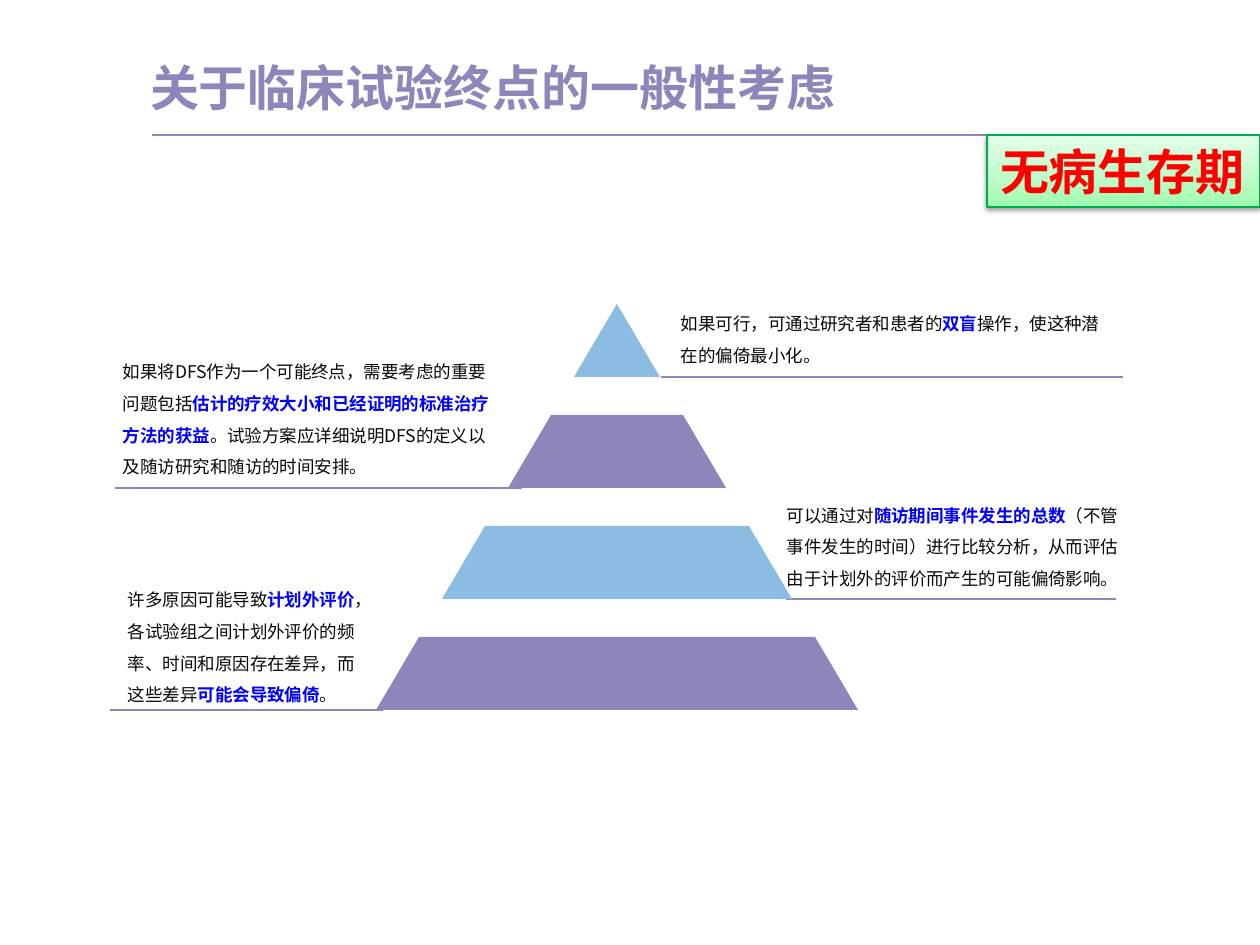
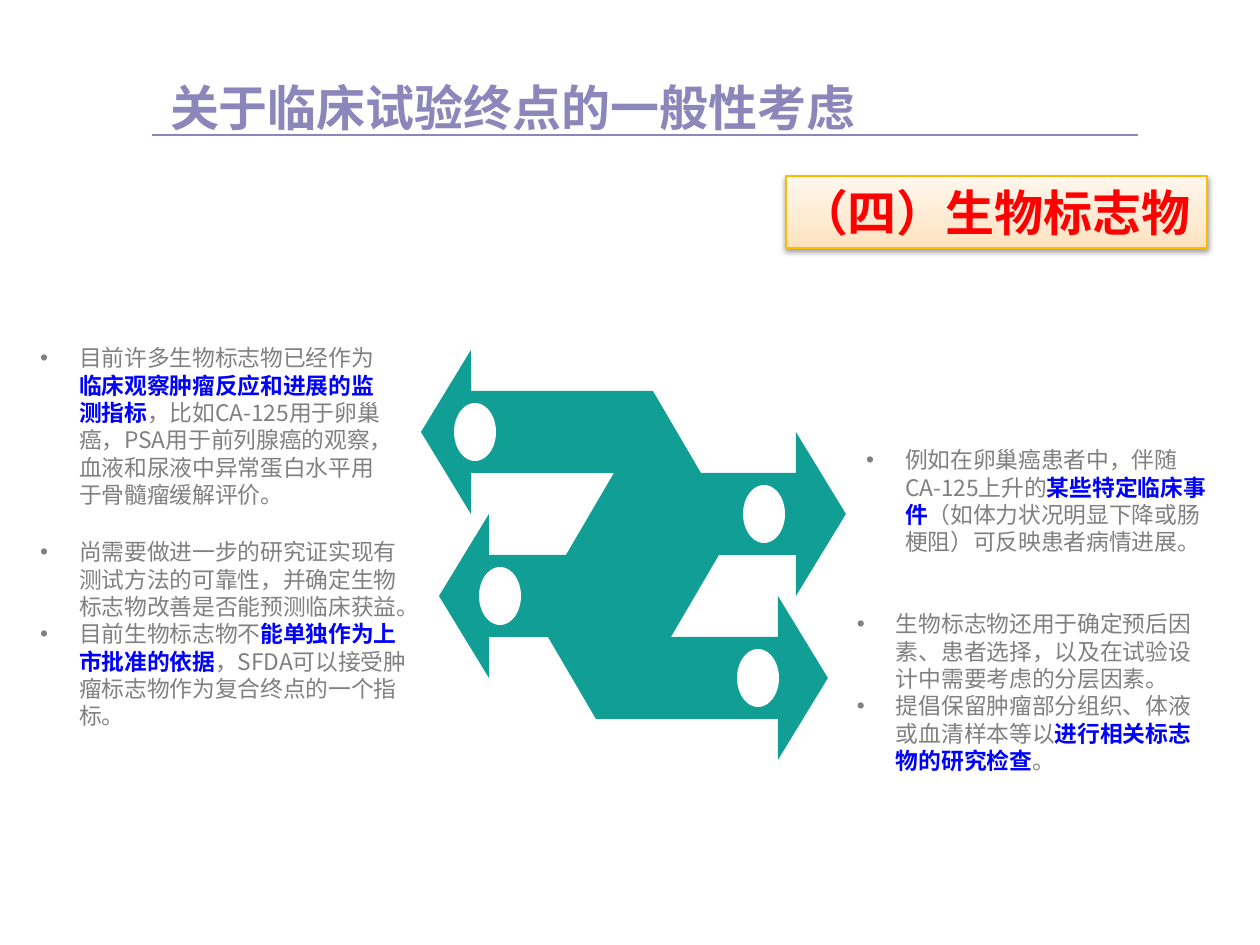
from dataclasses import dataclass
from copy import deepcopy

from lxml import etree
from pptx import Presentation
from pptx.dml.color import RGBColor
from pptx.enum.shapes import MSO_CONNECTOR, MSO_SHAPE
from pptx.enum.text import MSO_ANCHOR, MSO_AUTO_SIZE, PP_ALIGN
from pptx.oxml.ns import qn
from pptx.util import Emu, Pt

STRAIGHT = MSO_CONNECTOR.STRAIGHT
RECTANGLE = MSO_SHAPE.RECTANGLE
OVAL = MSO_SHAPE.OVAL
TOP, MIDDLE = MSO_ANCHOR.TOP, MSO_ANCHOR.MIDDLE
LEFT = PP_ALIGN.LEFT
NO_FIT = MSO_AUTO_SIZE.NONE

PX = 914400 / 126
TITLE_ONLY, COMPARISON = 5, 4


@dataclass(frozen=True)
class Theme:
    purple: str = "8D86BA"
    blue: str = "8BBDE2"
    teal: str = "119F95"
    white: str = "FFFFFF"
    ink: str = "080808"
    grey: str = "808080"
    emphasis: str = "0000FF"
    red: str = "FF0000"
    black: str = "000000"
    green_badge: tuple = ("00AC4E", "9DFCAE", "BBFBC6", "E4FFE9")
    orange_badge: tuple = ("F9BC00", "FFE2BD", "FFEAD1", "FFF7EE")
    font: str = "Noto Sans CJK SC"
    badge_font: str = "Calibri"
    heading_size: int = 28
    list_size: int = 13
    callout_size: int = 10


def px(length):
    return Emu(round(length * PX))


def rgb(value):
    return RGBColor.from_string(value)


def add_bullet(para, indent):
    properties = para._p.get_or_add_pPr()
    properties.set("marL", str(px(indent)))
    properties.set("indent", str(-px(indent)))
    etree.SubElement(properties, qn("a:buFont")).set("typeface", "Arial")
    etree.SubElement(properties, qn("a:buChar")).set("char", "•")


def fill_frame(frame, text, *, size, color, font, east_font, emphasis=None,
               bold=False, spacing=1.0, bullet_indent=0, insets=(13, 6),
               anchor=TOP):
    """Newlines part paragraphs; asterisks enclose emphasised words."""
    frame.word_wrap = True
    frame.auto_size = NO_FIT
    frame.vertical_anchor = anchor
    frame.margin_left = frame.margin_right = px(insets[0])
    frame.margin_top = frame.margin_bottom = px(insets[1])
    for number, line in enumerate(text.split("\n")):
        para = frame.add_paragraph() if number else frame.paragraphs[0]
        if bullet_indent:
            add_bullet(para, bullet_indent)
        para.alignment = LEFT
        para.line_spacing = spacing
        para.space_before = Pt(0)
        for part, words in enumerate(line.split("*")):
            if not words:
                continue
            strong = part % 2 == 1
            span = para.add_run()
            span.text = words
            span.font.size = Pt(size)
            span.font.bold = bold or strong
            span.font.color.rgb = rgb(emphasis if strong else color)
            span.font.name = font
            east = etree.SubElement(span._r.get_or_add_rPr(), qn("a:ea"))
            east.set("typeface", east_font)


class Deck:
    def __init__(self, theme):
        self.theme = theme
        self.show = Presentation()
        self.show.slide_width, self.show.slide_height = px(1260), px(945)
        self.page = None

    def new_page(self, layout, title, left, top):
        self.page = self.show.slides.add_slide(self.show.slide_layouts[layout])
        heading = self.page.shapes.title
        self.place(heading, left, top, 730, 59)
        self.put_text(heading, title, size=self.theme.heading_size,
                      color=self.theme.purple, bold=True, insets=(0, 0))
        self.line(152, 1138, 135, 0.75)

    def place(self, box, left, top, width, height):
        box.left, box.top = px(left), px(top)
        box.width, box.height = px(width), px(height)

    def put_text(self, box, text, **style):
        style = {"font": self.theme.font, "east_font": self.theme.font,
                 "emphasis": self.theme.emphasis} | style
        fill_frame(box.text_frame, text, **style)

    def line(self, start, end, y, width):
        line = self.page.shapes.add_connector(
            STRAIGHT, px(start), px(y), px(end), px(y))
        line.line.color.rgb = rgb(self.theme.purple)
        line.line.width = Pt(width)
        etree.SubElement(line._element.spPr, qn("a:effectLst"))

    def paint(self, shape, color):
        shape.shadow.inherit = False
        shape.fill.solid()
        shape.fill.fore_color.rgb = rgb(color)
        shape.line.fill.background()

    def outline(self, points, color):
        builder = self.page.shapes.build_freeform(*points[0], scale=PX)
        builder.add_line_segments(points[1:], close=True)
        self.paint(builder.convert_to_shape(), color)

    def dot(self, center_x, center_y, width, height):
        shape = self.page.shapes.add_shape(
            OVAL, px(center_x - width / 2), px(center_y - height / 2),
            px(width), px(height))
        self.paint(shape, self.theme.white)

    def callout(self, text, left, top, width, height):
        box = self.page.shapes.add_textbox(
            px(left), px(top), px(width), px(height))
        self.put_text(box, text, size=self.theme.callout_size,
                      color=self.theme.ink, spacing=1.5)

    def bullets(self, index, text, left, top, width, height):
        box = self.page.placeholders[index]
        self.place(box, left, top, width, height)
        self.put_text(box, text, size=self.theme.list_size,
                      color=self.theme.grey, bullet_indent=39, insets=(10, 5))

    def badge(self, text, colors, left, top, width, height):
        border, *shades = colors
        box = self.page.shapes.add_shape(
            RECTANGLE, px(left), px(top), px(width), px(height))
        # Three-stop gradient rising from the lower edge
        box.fill.gradient()
        box.fill.gradient_angle = 90
        stop_list = box._element.spPr.find(".//" + qn("a:gsLst"))
        stop_list.append(deepcopy(stop_list[-1]))
        for stop, position, shade in zip(box.fill.gradient_stops,
                                         (0, 0.35, 1), shades):
            stop.position = position
            stop.color.rgb = rgb(shade)
        box.line.color.rgb = rgb(border)
        box.line.width = Pt(0.75)
        # Soft shadow below
        box.shadow.inherit = False
        effects = box._element.spPr.find(qn("a:effectLst"))
        shadow = etree.SubElement(
            effects, qn("a:outerShdw"), blurRad=str(Pt(3.1)),
            dist=str(Pt(1.6)), dir="5400000", rotWithShape="0")
        tint = etree.SubElement(shadow, qn("a:srgbClr"), val=self.theme.black)
        etree.SubElement(tint, qn("a:alpha"), val="38000")
        self.put_text(box, text, size=self.theme.heading_size,
                      color=self.theme.red, font=self.theme.badge_font,
                      bold=True, anchor=MIDDLE)


TITLE = "关于临床试验终点的一般性考虑"

# Text, box, and the ends of the rule under it, from the top tier down
CALLOUTS = [
    ("如果可行，可通过研究者和患者的*双盲*操作，使这种潜在的偏倚最小化。",
     (668, 297, 449, 77), (661, 1123)),
    ("如果将DFS作为一个可能终点，需要考虑的重要问题包括"
     "*估计的疗效大小和已经证明的标准治疗方法的获益*"
     "。试验方案应详细说明DFS的定义以及随访研究和随访的时间安排。",
     (110, 345, 398, 140), (115, 522)),
    ("可以通过对*随访期间事件发生的总数*（不管事件发生的时间）进行比较分析，"
     "从而评估由于计划外的评价而产生的可能偏倚影响。",
     (774, 488, 364, 108), (786, 1116)),
    ("许多原因可能导致*计划外评价*，各试验组之间计划外评价的频率、"
     "时间和原因存在差异，而这些差异*可能会导致偏倚*。",
     (115, 573, 268, 140), (110, 383)),
]

# Placeholder index, text, box
LISTS = [
    (1, "目前许多生物标志物已经作为*临床观察肿瘤反应和进展的监测指标*"
        "，比如CA-125用于卵巢癌，PSA用于前列腺癌的观察，"
        "血液和尿液中异常蛋白水平用于骨髓瘤缓解评价。",
     (30, 339, 372, 204)),
    (2, "尚需要做进一步的研究证实现有测试方法的可靠性，"
        "并确定生物标志物改善是否能预测临床获益。\n"
        "目前生物标志物不*能单独作为上市批准的依据*"
        "，SFDA可以接受肿瘤标志物作为复合终点的一个指标。",
     (30, 533, 399, 204)),
    (3, "例如在卵巢癌患者中，伴随CA-125上升的*某些特定临床事件*"
        "（如体力状况明显下降或肠梗阻）可反映患者病情进展。",
     (856, 441, 365, 149)),
    (4, "生物标志物还用于确定预后因素、患者选择，"
        "以及在试验设计中需要考虑的分层因素。\n"
        "提倡保留肿瘤部分组织、体液或血清样本等以*进行相关标志物的研究检查*。",
     (847, 605, 374, 204)),
]

# Tip x, direction of the tail, side of the short edge, dot centre x
ARROWS = [(421, 1, 1, 475), (846, -1, 1, 764),
          (439, 1, -1, 500), (828, -1, -1, 758)]
ARROW_OUTLINE = [(0, 0), (50, -82), (50, -41), (232, -41),
                 (280, 41), (50, 41), (50, 82)]


def build_pyramid_page(deck):
    theme = deck.theme
    deck.new_page(TITLE_ONLY, TITLE, 150, 57)
    deck.badge("无病生存期", theme.green_badge, 987, 135, 273, 72)
    center, tier_height, slope, step = 617, 73, 43, 66
    for tier, (text, box, (start, end)) in enumerate(CALLOUTS):
        top = 304 + 111 * tier
        bottom = top + tier_height
        upper = step * tier
        lower = upper + slope
        deck.line(start, end, bottom, 1.25)
        deck.callout(text, *box)
        deck.outline([(center - upper, top), (center + upper, top),
                      (center + lower, bottom), (center - lower, bottom)],
                     theme.purple if tier % 2 else theme.blue)


def build_biomarker_page(deck):
    deck.new_page(COMPARISON, TITLE, 170, 77)
    deck.badge("（四）生物标志物", deck.theme.orange_badge, 786, 176, 421, 72)
    # Interlocking arrows, each with a plain dot
    for row, (tip, tail, side, dot_x) in enumerate(ARROWS):
        middle = 432 + 82 * row
        deck.outline([(tip + tail * x, middle + side * y)
                      for x, y in ARROW_OUTLINE], deck.theme.teal)
        deck.dot(dot_x, middle, 42, 58)
    for index, text, box in LISTS:
        deck.bullets(index, text, *box)


def main():
    deck = Deck(Theme())
    build_pyramid_page(deck)
    build_biomarker_page(deck)
    deck.show.save("out.pptx")


if __name__ == "__main__":
    main()
